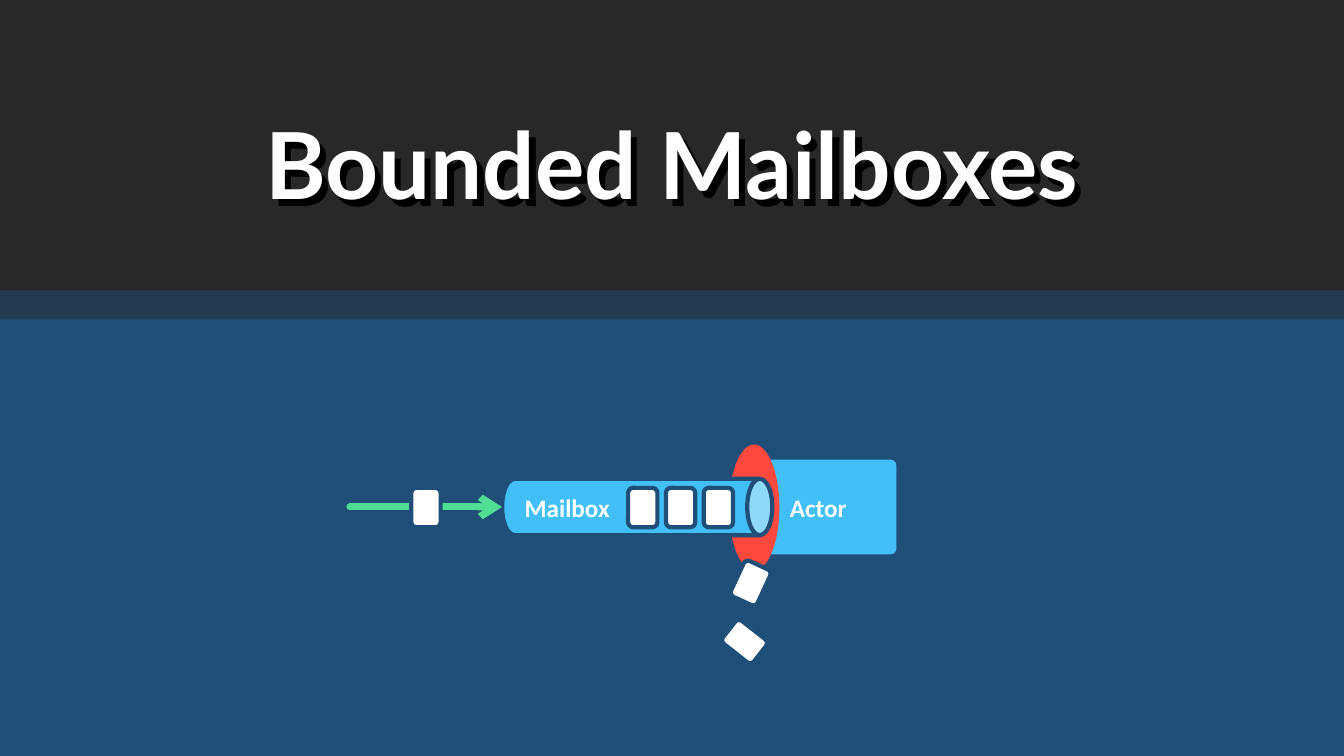
import pptx
import pptx.dml.color
import pptx.enum.shapes
import pptx.enum.text
import pptx.oxml
import pptx.oxml.ns
import pptx.util

Inches = pptx.util.Inches
Pt = pptx.util.Pt
RGBColor = pptx.dml.color.RGBColor
Shape = pptx.enum.shapes.MSO_SHAPE
Align = pptx.enum.text.PP_ALIGN
Anchor = pptx.enum.text.MSO_ANCHOR

NAVY = RGBColor(0x1F, 0x4E, 0x79)
SLATE = RGBColor(0x23, 0x3B, 0x50)
CHARCOAL = RGBColor(0x28, 0x28, 0x28)
SKY = RGBColor(0x43, 0xBF, 0xF7)
RED = RGBColor(0xFF, 0x49, 0x3E)
GREEN = RGBColor(0x50, 0xDE, 0x94)
WHITE = RGBColor(0xFF, 0xFF, 0xFF)
DRAWING = pptx.oxml.ns.nsdecls("a")


def write_text(shape, text, size=18, font="Calibri", align=Align.CENTER):
    frame = shape.text_frame
    frame.word_wrap = True
    frame.vertical_anchor = Anchor.MIDDLE
    paragraph = frame.paragraphs[0]
    paragraph.alignment = align
    run = paragraph.add_run()
    run.text = text
    run.font.size = Pt(size)
    run.font.name = font
    run.font.bold = True
    run.font.color.rgb = WHITE


def add_figure(kind, left, top, width, height, fill, outlined=False, rotation=0):
    shape = slide.shapes.add_shape(
        kind, Inches(left), Inches(top), Inches(width), Inches(height))
    shape.shadow.inherit = False
    shape.fill.solid()
    shape.fill.fore_color.rgb = fill
    shape.rotation = rotation
    if outlined:
        shape.line.color.rgb = NAVY
        shape.line.width = Pt(3)
    else:
        shape.line.fill.background()
    return shape


presentation = pptx.Presentation()
presentation.slide_width = Inches(13.33)
presentation.slide_height = Inches(7.5)
slide = presentation.slides.add_slide(presentation.slide_layouts[5])
slide.background.fill.solid()
slide.background.fill.fore_color.rgb = NAVY

# Actor with its overflowing inlet
actor = add_figure(Shape.ROUNDED_RECTANGLE, 7.34, 4.56, 1.55, 0.94, SKY)
actor.adjustments[0] = 0.06
write_text(actor, "Actor")
add_figure(Shape.OVAL, 7.23, 4.41, 0.5, 1.25, RED)

# Header bands and title
add_figure(Shape.RECTANGLE, 0, 2.88, 13.33, 0.29, SLATE)
add_figure(Shape.RECTANGLE, 0, 0, 13.33, 2.88, CHARCOAL)

title = slide.shapes.title
title.left, title.top = Inches(0), Inches(1.01)
title.width, title.height = Inches(13.33), Inches(1.21)
write_text(title, "Bounded Mailboxes", size=66, font="Lato")
title.text_frame.auto_size = pptx.enum.text.MSO_AUTO_SIZE.NONE
title.fill.background()
title.element.spPr.append(pptx.oxml.parse_xml(
    f'<a:effectLst {DRAWING}><a:outerShdw blurRad="0" dist="{Inches(0.09)}" '
    'dir="2700000" algn="tl" rotWithShape="0"><a:srgbClr val="000000"/>'
    '</a:outerShdw></a:effectLst>'))
title.element.getparent().append(title.element)  # in front of the bands

# Mailbox tube, lying on its side
mailbox = add_figure(Shape.CAN, 6.04, 3.69, 0.56, 2.68, SKY, outlined=True, rotation=90)
mailbox.adjustments[0] = 0.445
write_text(mailbox, "Mailbox", align=Align.LEFT)
mailbox.text_frame._txBody.bodyPr.set("vert", "vert270")

# Incoming arrow
arrow = slide.shapes.add_connector(
    pptx.enum.shapes.MSO_CONNECTOR.ELBOW,
    Inches(3.47), Inches(5.03), Inches(4.98), Inches(5.03))
arrow.line.color.rgb = GREEN
arrow.line.width = Pt(5)
arrow_line = arrow.line._get_or_add_ln()
arrow_line.set("cap", "rnd")
for line_part in ("<a:round {}/>", '<a:tailEnd {} type="arrow"/>'):
    arrow_line.append(pptx.oxml.parse_xml(line_part.format(DRAWING)))
arrow.element.spPr.append(pptx.oxml.parse_xml(f"<a:effectLst {DRAWING}/>"))

# Messages: three queued, one arriving, two dropped
messages = [(6.98 - 0.375 * place, 4.84, 0) for place in range(3)]
messages += [(4.08, 4.84, 0), (7.3, 5.59, 24.8), (7.24, 6.17, 308.2)]
for left, top, rotation in messages:
    add_figure(Shape.ROUNDED_RECTANGLE, left, top, 0.29, 0.39, WHITE,
               outlined=True, rotation=rotation)

presentation.save("out.pptx")
